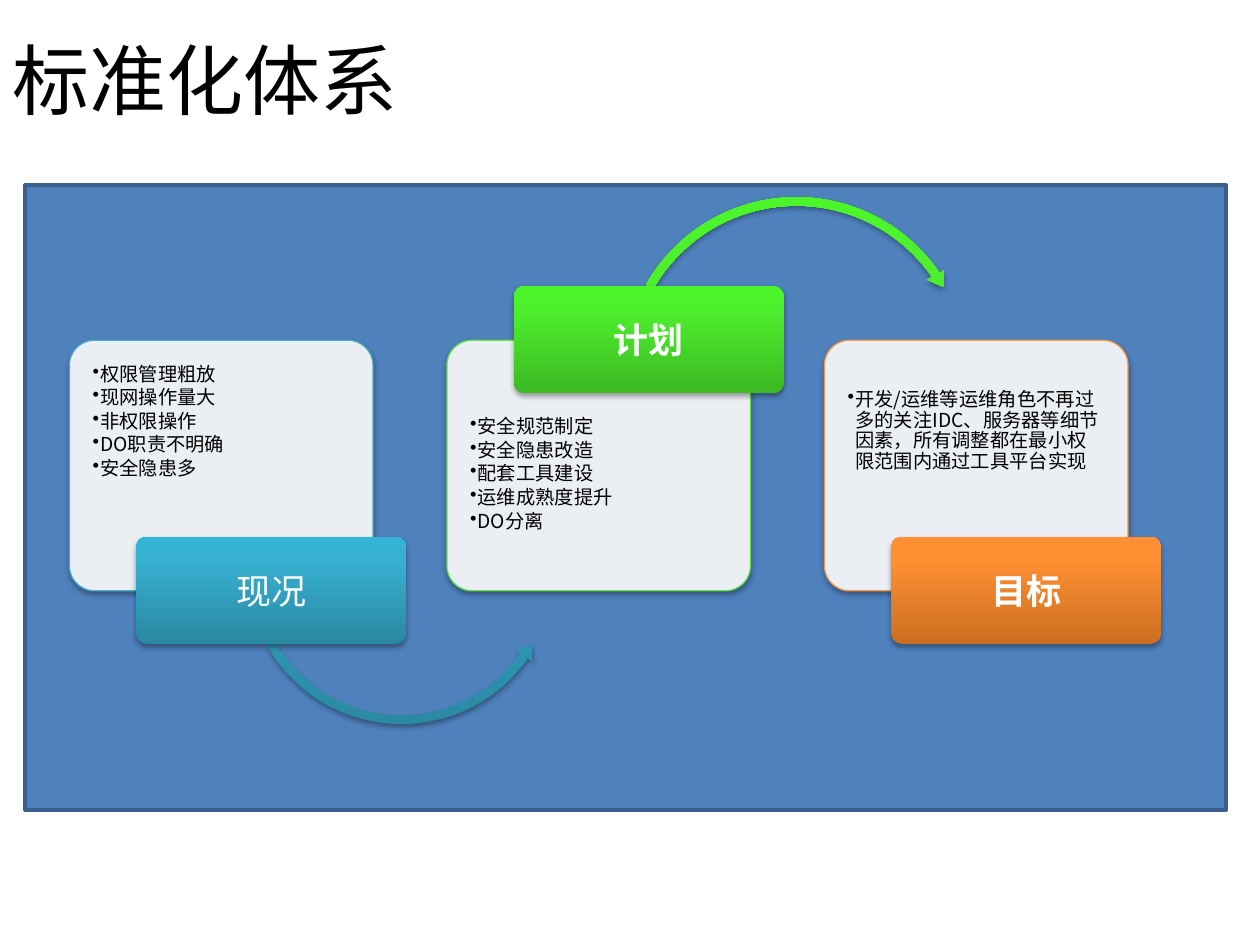
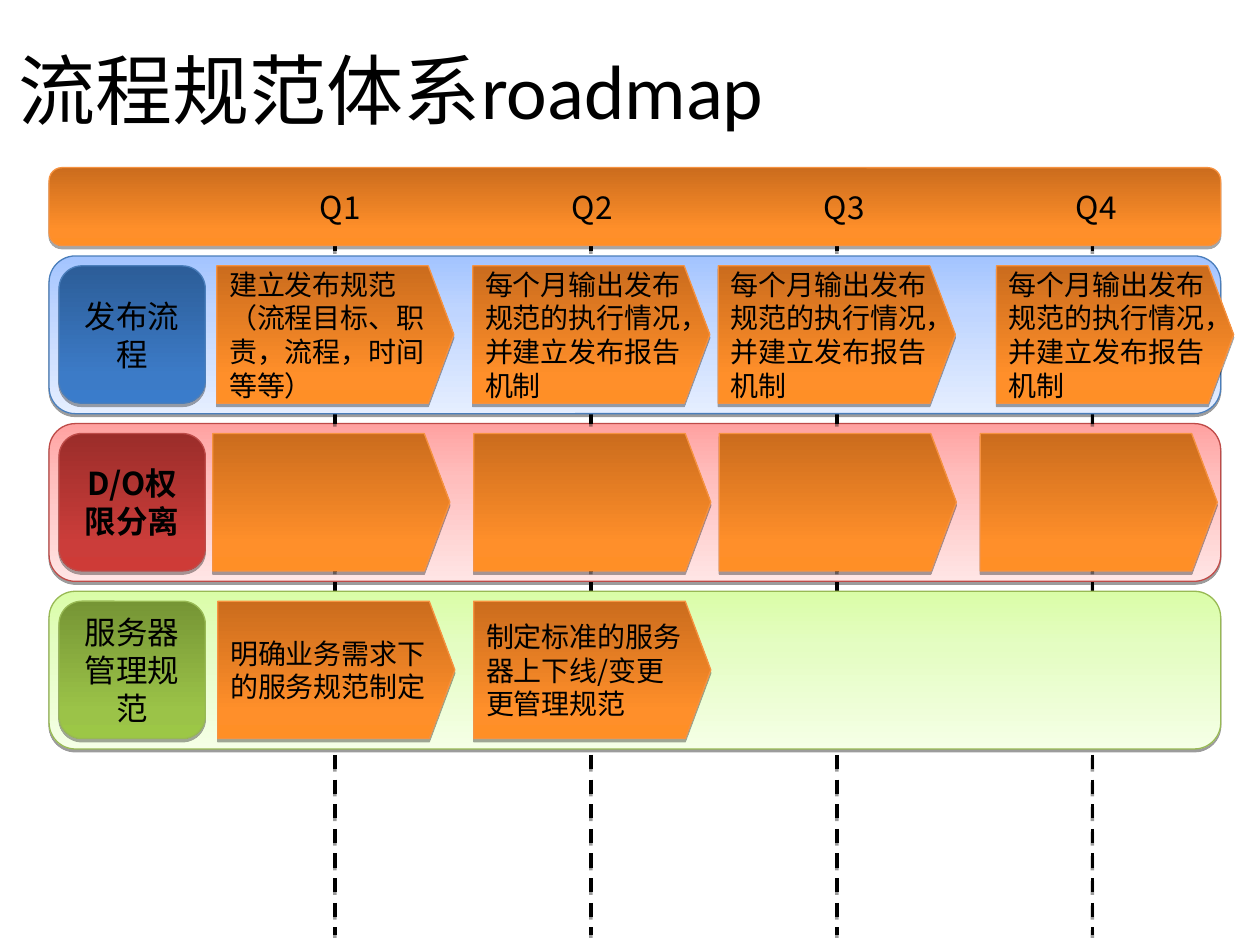
from lxml import etree
from pptx import Presentation
from pptx import util as u
from pptx.dml import color as dml
from pptx.enum import dml as draw, shapes, text
from pptx.oxml import ns

Cm, Pt = u.Cm, u.Pt
KIND = shapes.MSO_SHAPE
ALIGN = text.PP_ALIGN
MID = text.MSO_ANCHOR.MIDDLE
TOP = text.MSO_ANCHOR.TOP
CJK = "Noto Sans CJK SC"
BLACK, WHITE = "000000", "FFFFFF"

ORANGE = ["CB6C1D", "FF8F2A", "FF8F26"]
AMBER = ["CC6E20", "FF9034", "FF9136"]
TEAL = ["2A88A2", "37B1D2", "34B4D6"]
GREEN = ["3CB923", "4EF02E", "4CF52A"]
EDGE = "F69240"
DEEP = (0, 80, 100)
PALE = (0, 35, 100)
GLOW = (35, 3.1, 1.8)
DROP = (35, 0, 1.8)
SOFT = (38, 0, 1.6)


def rgb(code):
    return dml.RGBColor.from_string(code)


def sub(node, tag, **attrs):
    return etree.SubElement(node, ns.qn(tag), {k: str(v) for k, v in attrs.items()})


def blend(item, codes, stops, angle):
    item.fill.gradient()
    item.fill.gradient_angle = angle
    marks = item.element.spPr.find(ns.qn("a:gradFill")).find(ns.qn("a:gsLst"))
    for mark in list(marks):
        marks.remove(mark)
    for code, stop in zip(codes, stops):
        sub(sub(marks, "a:gs", pos=stop * 1000), "a:srgbClr", val=code)


def shade(item, alpha, blur, dist):
    props = item.element.spPr
    group = props.find(ns.qn("a:effectLst"))
    if group is None:
        group = sub(props, "a:effectLst")
    cast = sub(group, "a:outerShdw", blurRad=Pt(blur), dist=Pt(dist),
               dir=5400000, rotWithShape=0)
    sub(sub(cast, "a:srgbClr", val=BLACK), "a:alpha", val=alpha * 1000)


def block(page, kind, box, fill=None, line=None, width=0.75, adj=(),
          stops=DEEP, angle=270, glow=None):
    item = page.shapes.add_shape(kind, *map(Cm, box))
    for i, value in enumerate(adj):
        item.adjustments[i] = value
    if fill is None:
        item.fill.background()
    elif isinstance(fill, str):
        item.fill.solid()
        item.fill.fore_color.rgb = rgb(fill)
    else:
        blend(item, fill, stops, angle)
    if line:
        item.line.color.rgb = rgb(line)
        item.line.width = Pt(width)
    else:
        item.line.fill.background()
    item.shadow.inherit = False
    if glow:
        shade(item, *glow)
    return item


def write(item, lines, size, color=BLACK, bold=False, align=ALIGN.LEFT,
          anchor=MID, font=CJK, pitch=1.2, after=0):
    frame = item.text_frame
    frame.word_wrap = True
    frame.vertical_anchor = anchor
    for i, line in enumerate(lines):
        para = frame.add_paragraph() if i else frame.paragraphs[0]
        para.text = line
        para.alignment = align
        para.line_spacing = Pt(size * pitch)
        para.space_after = Pt(after)
        para.font.size = Pt(size)
        para.font.bold = bold
        para.font.color.rgb = rgb(color)
        para.font.name = font
        sub(para.font._element, "a:ea", typeface=CJK)
    return frame


def bullet(para):
    props = para._p.get_or_add_pPr()
    props.set("marL", str(Cm(0.15)))
    props.set("indent", str(-Cm(0.15)))
    mark = sub(props, "a:buChar", char="•")
    props.find(ns.qn("a:defRPr")).addprevious(mark)


def tabs(para, places):
    props = para._p.get_or_add_pPr()
    group = sub(props, "a:tabLst")
    for place in places:
        sub(group, "a:tab", pos=Cm(place), algn="l")
    props.find(ns.qn("a:defRPr")).addprevious(group)


def title(page, words, left, top):
    item = page.shapes.add_textbox(Cm(left), Cm(top), Cm(22.86), Cm(3.18))
    write(item, [words], 44, font="Calibri")


def card(page, left, top, name, lines, edge, fill, bold, drop, shift, arrow):
    body = block(page, KIND.ROUNDED_RECTANGLE, (left, top, 6.12, 5.05),
                 WHITE, edge, adj=[0.1], glow=GLOW)
    tint = body.element.spPr.find(ns.qn("a:solidFill"))[0]
    sub(tint, "a:alpha", val=90000)

    note = page.shapes.add_textbox(Cm(left + 0.11), Cm(top + shift), Cm(5.89), Cm(3.73))
    frame = write(note, lines, 11, anchor=TOP, pitch=1.07, after=1.7)
    frame.margin_left = frame.margin_right = Cm(0.36)
    frame.margin_top = frame.margin_bottom = Cm(0.36)
    for para in frame.paragraphs:
        bullet(para)

    if arrow:
        kind, dx, dy, side, adj = arrow
        block(page, kind, (left + dx, top + dy, side, side), fill,
              adj=adj, angle=90, glow=GLOW)
    label = block(page, KIND.ROUNDED_RECTANGLE, (left + 1.35, top + drop, 5.44, 2.16),
                  fill, adj=[0.1], angle=90, glow=GLOW)
    write(label, [name], 20, WHITE, bold, ALIGN.CENTER)


def system(page):
    title(page, "标准化体系", 0, 0)
    block(page, KIND.RECTANGLE, (0.51, 3.73, 24.21, 12.6), "4F81BD", "3A5F8C", 2)
    under = (KIND.LEFT_CIRCULAR_ARROW, 3.48, 1.42, 6.43,
             [0.027, 3.244, 20.999, 90.245, 0.031])
    over = (KIND.CIRCULAR_ARROW, 3.44, -3, 7.21,
            [0.024, 2.873, 195.372, 125.755, 0.028])
    cards = [
        ("现况", ["权限管理粗放", "现网操作量大", "非权限操作", "DO职责不明确", "安全隐患多"],
         "4BACC6", TEAL, False, 3.96, 0.13, under),
        ("计划", ["安全规范制定", "安全隐患改造", "配套工具建设", "运维成熟度提升", "DO分离"],
         "60E146", GREEN, True, -1.09, 1.19, over),
        ("目标", ["开发/运维等运维角色不再过多的关注IDC、服务器等细节因素，"
                "所有调整都在最小权限范围内通过工具平台实现"],
         "F79646", AMBER, True, 3.96, 0.64, None),
    ]
    for i, parts in enumerate(cards):
        card(page, 1.4 + 7.61 * i, 6.86, *parts)


def guide(page, left, top, end):
    rule = page.shapes.add_connector(shapes.MSO_CONNECTOR.STRAIGHT,
                                     Cm(left), Cm(top), Cm(left), Cm(end))
    rule.line.color.rgb = rgb(BLACK)
    rule.line.width = Pt(2)
    rule.line.dash_style = draw.MSO_LINE.DASH
    shade(rule, *SOFT)


def header(page, left, top):
    block(page, KIND.ROUNDED_RECTANGLE, (left, top, 23.62, 1.57), ORANGE, EDGE, glow=DROP)
    item = block(page, KIND.ROUNDED_RECTANGLE, (left - 0.79, top, 23.62, 1.57))
    frame = write(item, ["\t\tQ1\t\tQ2\t\tQ3\t\tQ4"], 18)
    tabs(frame.paragraphs[0], [3.38 + 2.54 * i for i in range(8)])


def band(page, left, top, pale, edge):
    block(page, KIND.ROUNDED_RECTANGLE, (left, top, 23.62, 3.18), pale, edge,
          stops=PALE, glow=SOFT)


def tasks(page, left, top, name, bold, deep, edge, steps):
    label = block(page, KIND.ROUNDED_RECTANGLE, (left + 0.2, top + 0.2, 2.95, 2.77),
                  deep, edge, glow=DROP)
    write(label, [name], 18, bold=bold, align=ALIGN.CENTER)
    for shift, words in steps:
        plate = block(page, KIND.PENTAGON, (left + shift, top + 0.2, 4.78, 2.77),
                      ORANGE, EDGE, adj=[0.186], glow=DROP)
        if words:
            write(plate, [words], 16)


def roadmap(page):
    title(page, "流程规范体系roadmap", 0.13, 0.2)
    left = 0.99
    tops = [5.16 + 3.38 * i for i in range(3)]
    report = "每个月输出发布规范的执行情况，并建立发布报告机制"
    pales = [["A3C4FF", "BFD5FF", "E5EEFF"],
             ["FFA2A1", "FFBEBD", "FFE5E5"],
             ["DAFDA7", "E4FDC2", "F5FFE6"]]
    edges = ["4A7EBB", "BE4B48", "98B954"]
    rows = [
        ("发布流程", False, ["2C5D98", "3C7BC7", "3A7CCB"],
         [(3.38, "建立发布规范（流程目标、职责，流程，时间等等）"),
          (8.54, report), (13.49, report), (19.1, report)]),
        ("D/O权限分离", True, ["9B2D2A", "CB3D3A", "CE3B37"],
         [(shift, "") for shift in (3.3, 8.56, 13.51, 18.77)]),
        ("服务器管理规范", False, ["769535", "9BC348", "9CC746"],
         [(3.4, "明确业务需求下的服务规范制定"),
          (8.56, "制定标准的服务器上下线/变更更管理规范")]),
    ]
    band(page, left, tops[1], pales[1], edges[1])
    for place in (6.75, 11.91, 16.87, 22.02):
        guide(page, place, 4.78, 18.85)
    header(page, left, 3.38)
    for i in (0, 2):
        band(page, left, tops[i], pales[i], edges[i])
    for top, edge, (name, bold, deep, steps) in zip(tops, edges, rows):
        tasks(page, left, top, name, bold, deep, edge, steps)


def main():
    deck = Presentation()
    deck.slide_width, deck.slide_height = Cm(25.4), Cm(19.05)
    for build in (system, roadmap):
        build(deck.slides.add_slide(deck.slide_layouts[6]))
    deck.save("out.pptx")


if __name__ == "__main__":
    main()
